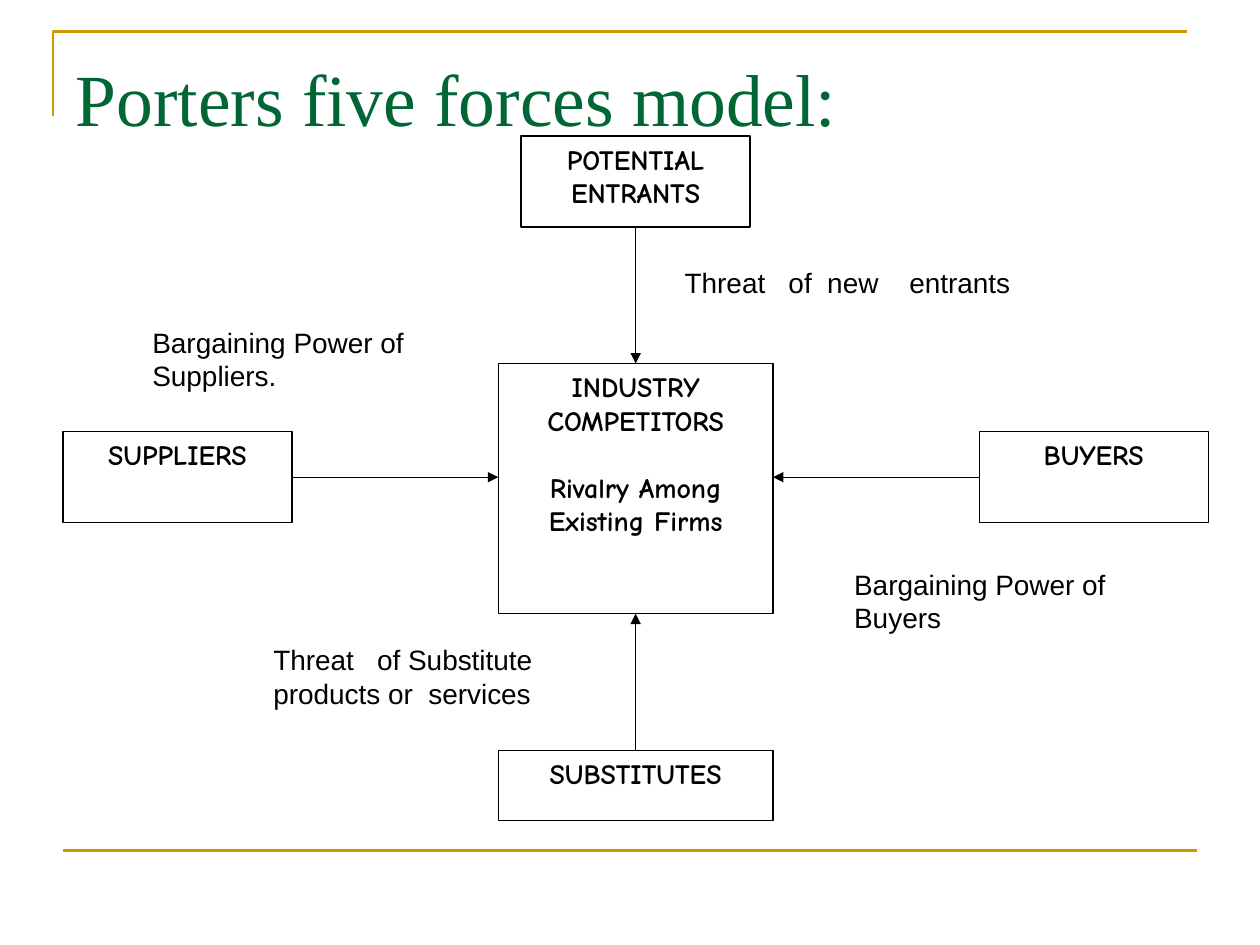
"""Draw a slide of the five forces model as boxes, arrows and labels on a grid."""
from dataclasses import dataclass

from lxml.etree import SubElement
from pptx import Presentation
from pptx.dml.color import RGBColor
from pptx.enum.shapes import MSO_CONNECTOR, MSO_SHAPE
from pptx.enum.text import MSO_ANCHOR, MSO_AUTO_SIZE, PP_ALIGN
from pptx.oxml.ns import qn
from pptx.util import Inches, Pt

COLORS = {"title": "006633", "rule": "CC9900", "ink": "000000", "paper": "FFFFFF"}
WIDTH, HEIGHT = Inches(10), Inches(7.5)
LEFT, TOP = Inches(0.5), Inches(1.08)
COL, ROW = Inches(0.3636), Inches(0.361)
TOP_SIDE, LEFT_SIDE, BOTTOM_SIDE, RIGHT_SIDE = range(4)

TITLE_FONT = {"name": "Times New Roman", "size": Pt(42), "bold": False}
BOX_FONT = {"name": "Comic Neue", "size": Pt(16), "bold": True}
LABEL_FONT = {"name": "Arial", "size": Pt(16), "bold": False}
BLANK_LINE = Pt(19.1)


@dataclass(frozen=True)
class Cell:
    """Text in an area of the grid; each group of lines is set apart by a gap."""
    col: float
    row: float
    cols: float
    rows: float
    groups: tuple[tuple[str, ...], ...]

    @property
    def area(self) -> tuple[int, int, int, int]:
        return grid(self.col, self.row) + (round(self.cols * COL), round(self.rows * ROW))


@dataclass(frozen=True)
class Force:
    """An arrow from one side of a box to a side of the centre."""
    source: str
    start_side: int
    end_side: int
    end: tuple[float, float]
    joined: bool


BOXES = {
    "entrants": Cell(10, 0, 5, 2, (("POTENTIAL ENTRANTS",),)),
    "suppliers": Cell(0, 6.5, 5, 2, (("SUPPLIERS",),)),
    "industry": Cell(9.5, 5, 6, 5.5, (("INDUSTRY", "COMPETITORS"),
                                      ("Rivalry Among", "Existing Firms"))),
    "substitutes": Cell(9.5, 13.5, 6, 1.55, (("SUBSTITUTES",),)),
    "buyers": Cell(20, 6.5, 5, 2, (("BUYERS",),)),
}
FORCES = (
    Force("entrants", BOTTOM_SIDE, TOP_SIDE, (12.5, 5), True),
    Force("suppliers", RIGHT_SIDE, LEFT_SIDE, (9.5, 7.5), False),
    Force("substitutes", TOP_SIDE, BOTTOM_SIDE, (12.5, 10.5), True),
    Force("buyers", LEFT_SIDE, RIGHT_SIDE, (15.5, 7.5), False),
)
LABELS = (
    Cell(13.3, 2.7, 8.66, 1.02, (("Threat   of  new    entrants",),)),
    Cell(1.68, 4.02, 7.32, 1.77, (("Bargaining Power of Suppliers.",),)),
    Cell(17, 9.34, 7.32, 1.77, (("Bargaining Power of Buyers",),)),
    Cell(4.32, 11, 7.32, 1.77, (("Threat   of Substitute products or  services",),)),
)


def grid(col: float, row: float) -> tuple[int, int]:
    """Return the slide position of a grid point."""
    return round(LEFT + col * COL), round(TOP + row * ROW)


def share(x: float, y: float) -> tuple[int, int]:
    """Return a point given as shares of the slide's size."""
    return round(x * WIDTH), round(y * HEIGHT)


def rgb(key: str) -> RGBColor:
    """Look up a named colour."""
    return RGBColor.from_string(COLORS[key])


def set_line(s, key: str, width: float) -> None:
    """Give a shape or connector a solid line."""
    s.line.color.rgb = rgb(key)
    s.line.width = Pt(width)


def write(tf, groups, font: dict, color: str, align=PP_ALIGN.LEFT) -> None:
    """Fill a text frame from the top, with a gap before each later group."""
    tf.word_wrap = True
    tf.vertical_anchor = MSO_ANCHOR.TOP
    lines = [(text, g > 0 and i == 0)
             for g, group in enumerate(groups) for i, text in enumerate(group)]
    for n, (text, gap) in enumerate(lines):
        p = tf.add_paragraph() if n else tf.paragraphs[0]
        p.alignment = align
        if gap:
            p.space_before = BLANK_LINE
        r = p.add_run()
        r.text = text
        for name, value in font.items():
            setattr(r.font, name, value)
        r.font.color.rgb = rgb(color)


def add_line(shapes, start: tuple[int, int], end: tuple[int, int], key: str, width: float):
    """Add a straight line without a shadow."""
    s = shapes.add_connector(MSO_CONNECTOR.STRAIGHT, *start, *end)
    set_line(s, key, width)
    SubElement(s._element.spPr, qn("a:effectLst"))
    return s


def add_frame(shapes) -> None:
    """Draw the corner rule and the bottom rule."""
    builder = shapes.build_freeform(*share(0.042, 0.123))
    builder.add_line_segments([share(0.042, 0.033), share(0.942, 0.033)], close=False)
    s = builder.convert_to_shape()
    s.fill.background()
    s.shadow.inherit = False
    set_line(s, "rule", 1.5)
    add_line(shapes, share(0.05, 0.9), share(0.95, 0.9), "rule", 1.5)


def add_title(shapes, text: str) -> None:
    """Place and format the title placeholder."""
    s = shapes.title
    s.left, s.top = share(0.05, 0.04)
    s.width, s.height = share(0.9, 0.167)
    s.text_frame.margin_top = Inches(0.12)
    s.text_frame.auto_size = MSO_AUTO_SIZE.NONE
    write(s.text_frame, ((text,),), TITLE_FONT, "title")


def add_box(shapes, cell: Cell):
    """Draw an outlined box with centred text."""
    s = shapes.add_shape(MSO_SHAPE.RECTANGLE, *cell.area)
    s.shadow.inherit = False
    s.fill.solid()
    s.fill.fore_color.rgb = rgb("paper")
    set_line(s, "ink", 0.75)
    write(s.text_frame, cell.groups, BOX_FONT, "ink", PP_ALIGN.CENTER)
    return s


def add_force(shapes, force: Force, boxes: dict) -> None:
    """Draw an arrow from a box to the centre."""
    end = grid(*force.end)
    s = add_line(shapes, end, end, "ink", 0.75)
    s.begin_connect(boxes[force.source], force.start_side)
    if force.joined:
        s.end_connect(boxes["industry"], force.end_side)
    SubElement(s.line._get_or_add_ln(), qn("a:tailEnd"), type="triangle")


def add_label(shapes, cell: Cell) -> None:
    """Write the name of a force beside its arrow."""
    tf = shapes.add_textbox(*cell.area).text_frame
    write(tf, cell.groups, LABEL_FONT, "ink")
    tf.auto_size = MSO_AUTO_SIZE.SHAPE_TO_FIT_TEXT


def main() -> None:
    """Build and save the slide."""
    prs = Presentation()
    prs.slide_width, prs.slide_height = WIDTH, HEIGHT
    shapes = prs.slides.add_slide(prs.slide_layouts[5]).shapes
    add_frame(shapes)
    add_title(shapes, "Porters five forces model:")
    boxes = {name: add_box(shapes, cell) for name, cell in BOXES.items()}
    for force in FORCES:
        add_force(shapes, force, boxes)
    for label in LABELS:
        add_label(shapes, label)
    prs.save("out.pptx")


if __name__ == "__main__":
    main()
